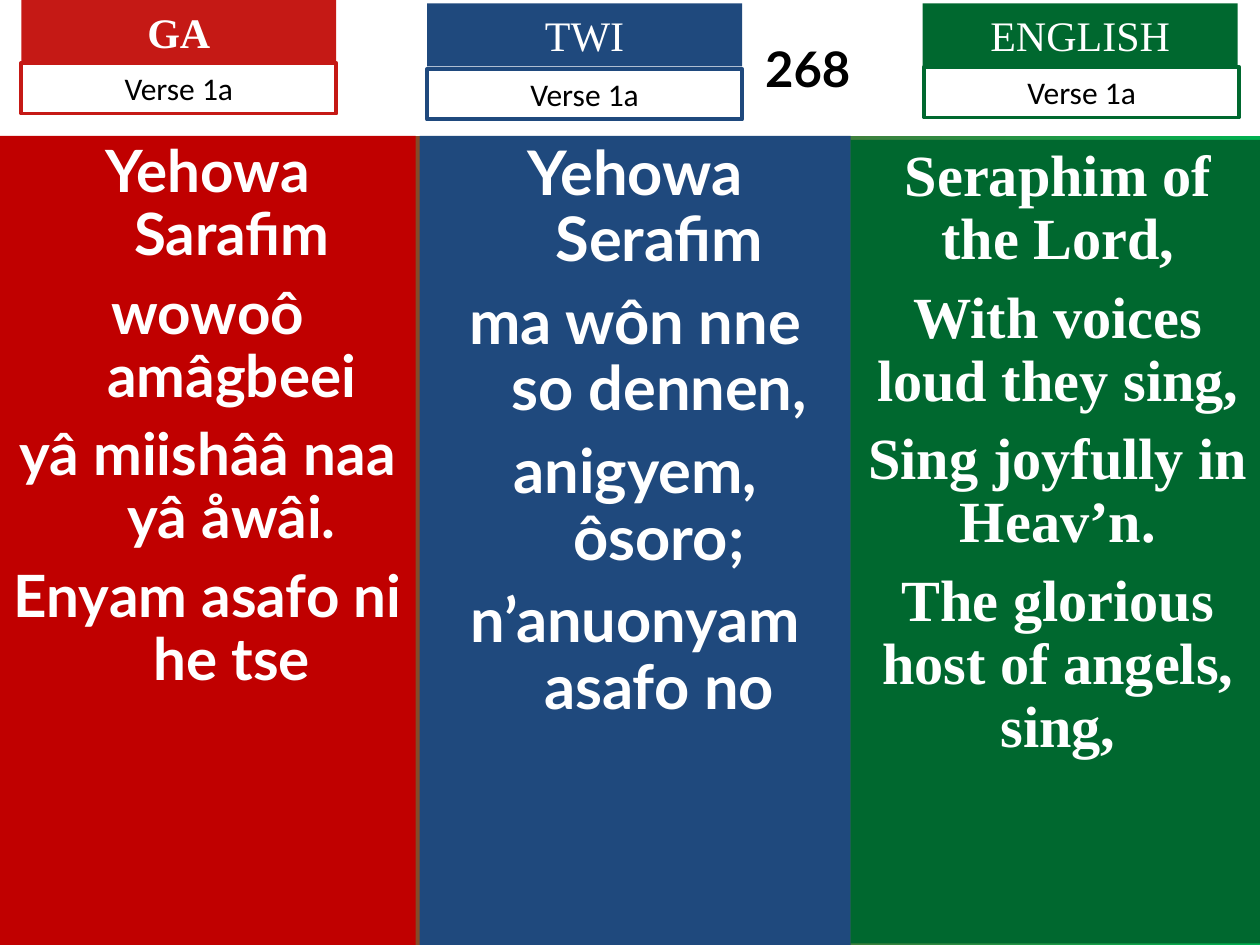
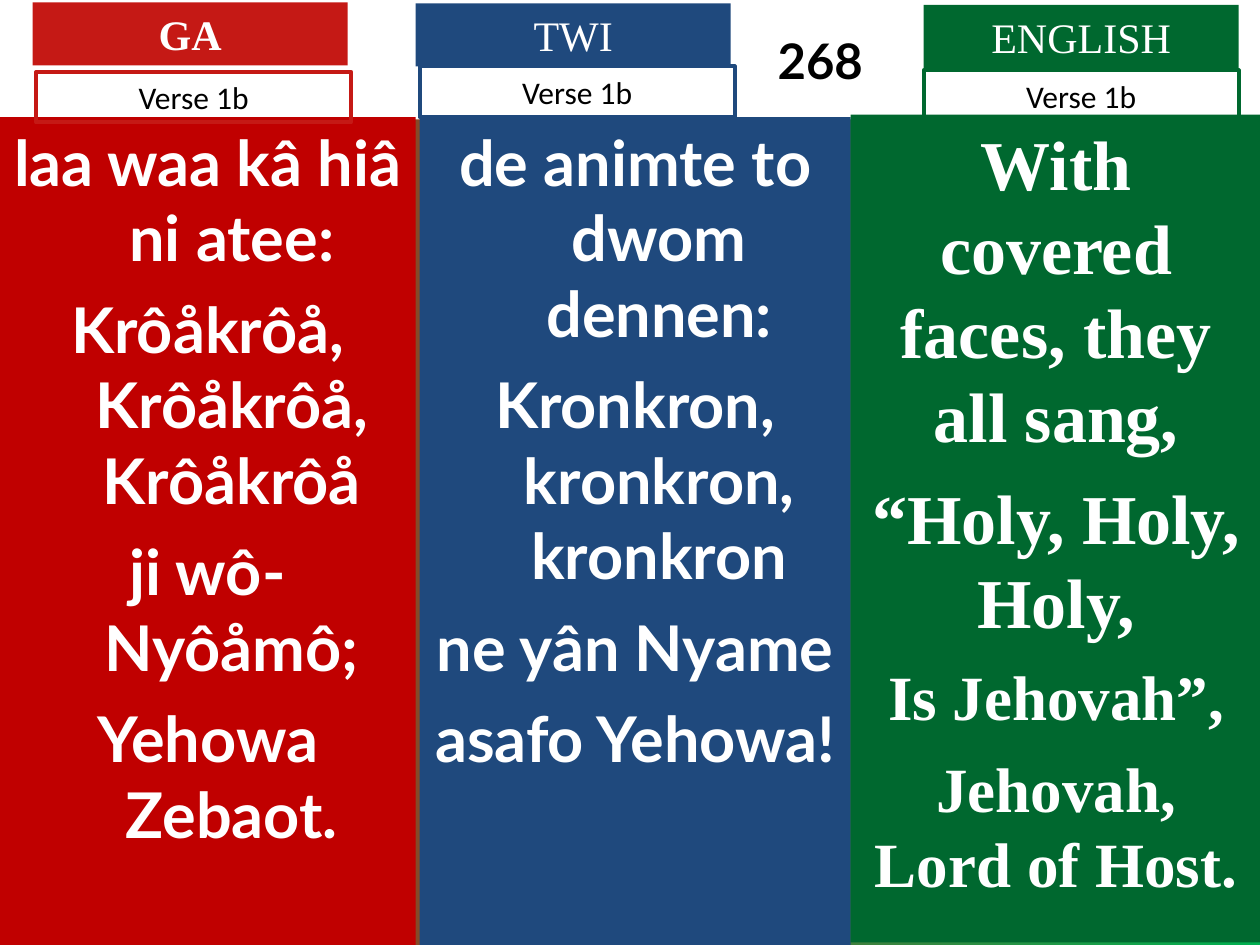
"""Build two hymn slides with Ga, Twi and English columns."""
from dataclasses import dataclass

from pptx import Presentation
from pptx import util as u
from pptx.dml import color
from pptx.enum import shapes, text


@dataclass(frozen=True)
class Theme:
    """Colours, fonts and type sizes shared by the slides."""

    white: str = "FFFFFF"
    black: str = "000000"
    ga_tab: str = "C51915"
    ga_body: str = "C00000"
    twi: str = "1F497D"
    english: str = "00682F"
    background_end: str = "00B050"
    sans: str = "Lato"
    serif: str = "Times New Roman"
    label: str = "Calibri"
    number_size: float = 28
    tab_size: float = 24
    verse_size: float = 18
    border: float = 2.25


THEME = Theme()
SLIDE_WIDTH, SLIDE_HEIGHT = 25.4, 19.05
TAB_WIDTH, TAB_HEIGHT, VERSE_HEIGHT = 6.35, 1.27, 1.02
HANGING = 0.97


@dataclass(frozen=True)
class Language:
    """Look of one language column on every slide."""

    name: str
    tab_color: str
    body_color: str
    font: str
    left: float
    bold_tab: bool = False
    hanging: float = 0


@dataclass(frozen=True)
class Stanza:
    """Words and placement of one language column on one slide."""

    lines: tuple
    sizes: tuple
    body: tuple
    tab: tuple
    verse: tuple


@dataclass(frozen=True)
class Hymn:
    """Content of one slide."""

    verse: str
    band_height: float
    number_inset: float
    line_spacing: float
    gap_ratio: float
    stanzas: tuple


LANGUAGES = (
    Language("GA", THEME.ga_tab, THEME.ga_body, THEME.sans, 0, True, HANGING),
    Language("TWI", THEME.twi, THEME.twi, THEME.sans, 8.46, hanging=HANGING),
    Language("ENGLISH", THEME.english, THEME.english, THEME.serif, 17.15),
)

HYMNS = (
    Hymn("Verse 1a", 2.74, 7.42, 0.9, 0.27, (
        Stanza(("Yehowa Sarafim", "wowoô amâgbeei", "yâ miishââ naa yâ åwâi.",
                "Enyam asafo ni he tse"),
               (33.3,) * 4, (2.74, 8.38, 16.31), (0.43, 0), (0.43, 1.27)),
        Stanza(("Yehowa Serafim", "ma wôn nne so dennen,", "anigyem, ôsoro;",
                "n’anuonyam asafo no"),
               (35.1,) * 4, (2.74, 8.69, 16.31), (8.61, 0.07), (8.61, 1.39)),
        Stanza(("Seraphim of the Lord,", "With voices loud they sing,",
                "Sing joyfully in Heav’n.", "The glorious host of angels, sing,"),
               (33.3,) * 4, (2.82, 8.36, 16.2), (18.6, 0.07), (18.63, 1.35)),
    )),
    Hymn("Verse 1b", 2.41, 7.92, 1, 0.25, (
        Stanza(("laa waa kâ hiâ ni atee:", "Krôåkrôå, Krôåkrôå, Krôåkrôå",
                "ji wô-Nyôåmô;", "Yehowa Zebaot."),
               (36,) * 4, (2.36, 8.38, 16.69), (0.66, 0.05), (0.73, 1.45)),
        Stanza(("de animte to dwom dennen:", "Kronkron, kronkron, kronkron",
                "ne yân Nyame", "asafo Yehowa!"),
               (36,) * 4, (2.36, 8.69, 16.69), (8.38, 0.07), (8.46, 1.34)),
        Stanza(("With covered faces, they all sang,", "“Holy, Holy, Holy,",
                "Is Jehovah”,", "Jehovah, Lord of Host."),
               (40, 40, 36, 36), (2.31, 8.28, 16.69), (18.62, 0.1), (18.62, 1.42)),
    )),
)


def rgb(value):
    """Return a colour from its hex value."""
    return color.RGBColor.from_string(value)


def add_rectangle(slide, left, top, width, height, fill=None, line=None):
    """Add a plain rectangle with an optional fill and border."""
    shape = slide.shapes.add_shape(
        shapes.MSO_SHAPE.RECTANGLE, u.Cm(left), u.Cm(top), u.Cm(width), u.Cm(height))
    shape.shadow.inherit = False
    if fill:
        shape.fill.solid()
        shape.fill.fore_color.rgb = rgb(fill)
    else:
        shape.fill.background()
    if line:
        shape.line.color.rgb = rgb(line)
        shape.line.width = u.Pt(THEME.border)
    else:
        shape.line.fill.background()
    return shape


def write(shape, lines, sizes, font, ink=THEME.white, bold=False, hanging=0,
          line_spacing=1, gap_ratio=0, anchor=text.MSO_ANCHOR.TOP, inset=0.25):
    """Write centred paragraphs into a shape."""
    frame = shape.text_frame
    frame.word_wrap = True
    frame.vertical_anchor = anchor
    frame.margin_left = u.Cm(inset)
    for index, (line, size) in enumerate(zip(lines, sizes)):
        paragraph = frame.add_paragraph() if index else frame.paragraphs[0]
        paragraph.alignment = text.PP_ALIGN.CENTER
        paragraph.line_spacing = float(line_spacing)
        if index:
            paragraph.space_before = u.Pt(round(size * gap_ratio, 1))
        if hanging:
            properties = paragraph._p.get_or_add_pPr()
            properties.set("marL", str(u.Cm(hanging)))
            properties.set("indent", str(-u.Cm(hanging)))
        run = paragraph.add_run()
        run.text = line
        run.font.size = u.Pt(size)
        run.font.name = font
        run.font.bold = bold
        run.font.color.rgb = rgb(ink)


def paint_background(slide):
    """Give the slide its red to green gradient."""
    fill = slide.background.fill
    fill.gradient()
    fill.gradient_angle = 0
    for stop, value in zip(fill.gradient_stops, (THEME.ga_tab, THEME.background_end)):
        stop.color.rgb = rgb(value)


def add_number_band(slide, hymn):
    """Add the white band with the hymn number."""
    band = add_rectangle(slide, 0, 0, SLIDE_WIDTH, hymn.band_height, THEME.white)
    write(band, ["268"], [THEME.number_size], THEME.sans, ink=THEME.black, bold=True,
          anchor=text.MSO_ANCHOR.MIDDLE, inset=hymn.number_inset)


def add_stanza(slide, hymn, language, stanza):
    """Add the coloured column with the words of the verse."""
    top, width, height = stanza.body
    column = add_rectangle(slide, language.left, top, width, height, language.body_color)
    write(column, stanza.lines, stanza.sizes, language.font, bold=True,
          hanging=language.hanging, line_spacing=hymn.line_spacing,
          gap_ratio=hymn.gap_ratio)


def add_heading(slide, hymn, language, stanza):
    """Add the language tab and the verse label below it."""
    tab = add_rectangle(slide, *stanza.tab, TAB_WIDTH, TAB_HEIGHT, language.tab_color)
    write(tab, [language.name], [THEME.tab_size], THEME.serif, bold=language.bold_tab)
    label = add_rectangle(slide, *stanza.verse, TAB_WIDTH, VERSE_HEIGHT,
                          line=language.tab_color)
    write(label, [hymn.verse], [THEME.verse_size], THEME.label, ink=THEME.black)


def main():
    """Build and save the presentation."""
    presentation = Presentation()
    presentation.slide_width = u.Cm(SLIDE_WIDTH)
    presentation.slide_height = u.Cm(SLIDE_HEIGHT)
    for hymn in HYMNS:
        slide = presentation.slides.add_slide(presentation.slide_layouts[6])
        paint_background(slide)
        add_number_band(slide, hymn)
        for add_part in (add_stanza, add_heading):
            for language, stanza in zip(LANGUAGES, hymn.stanzas):
                add_part(slide, hymn, language, stanza)
    presentation.save("out.pptx")


if __name__ == "__main__":
    main()
